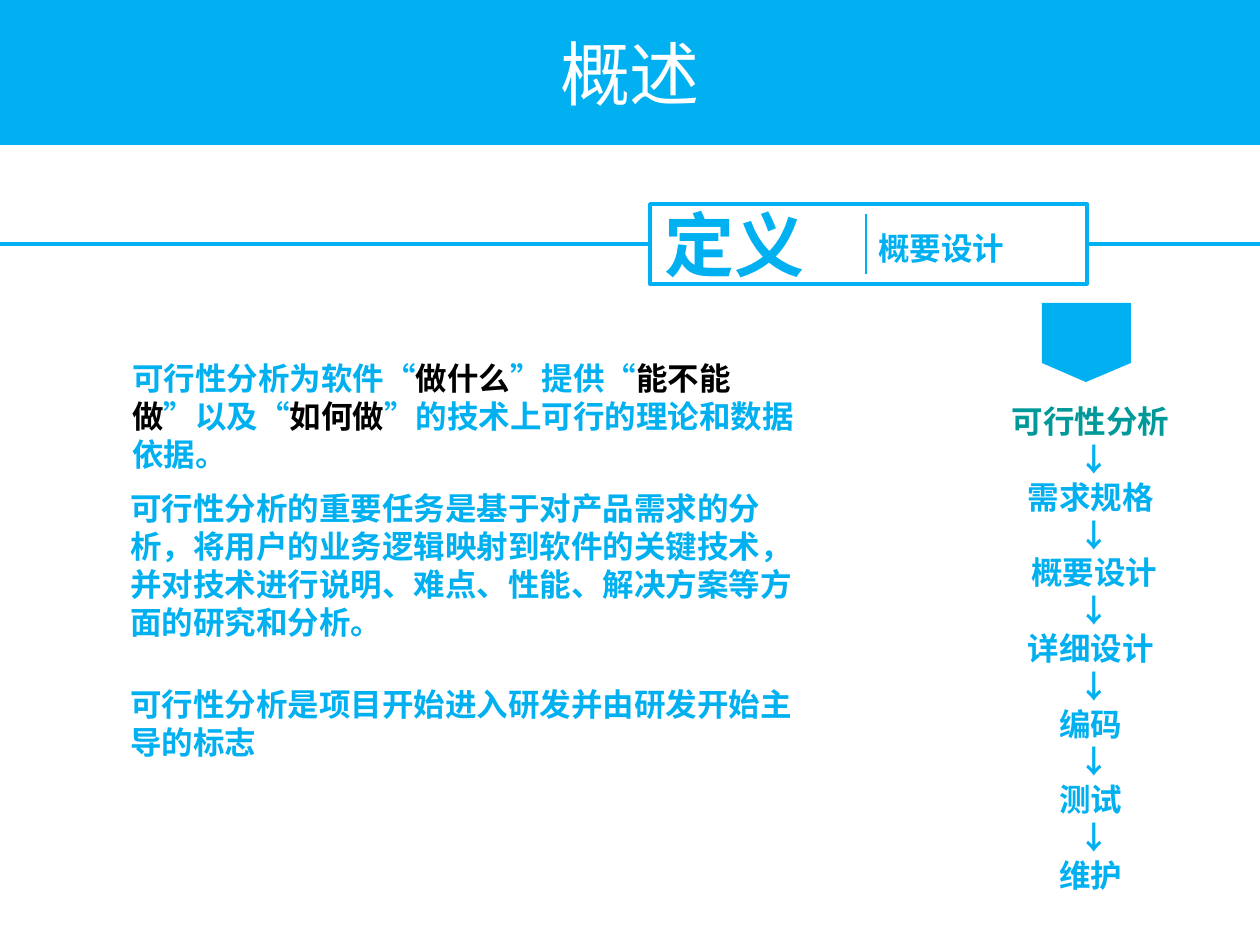
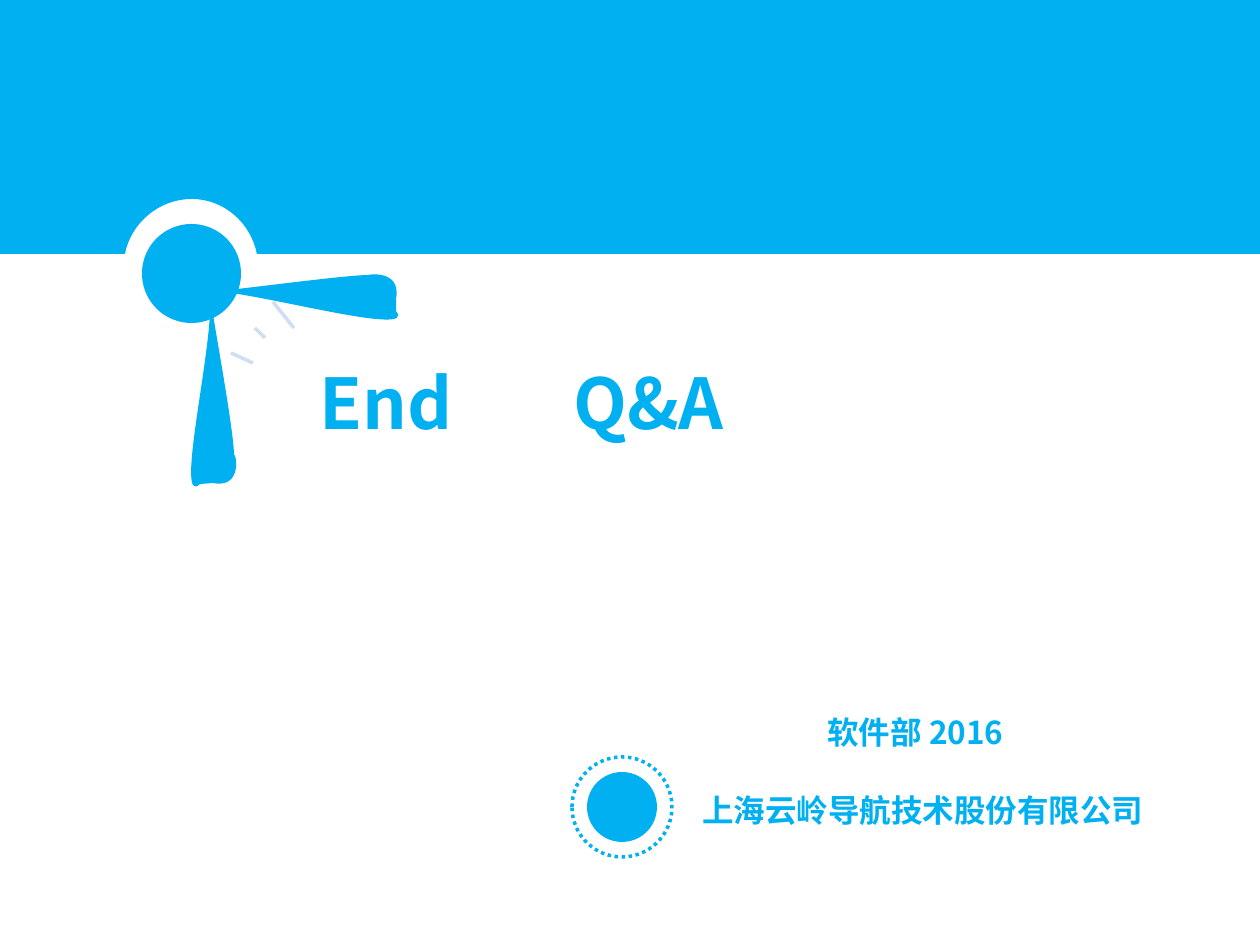
import pptx
import pptx.dml.color
import pptx.enum.dml
import pptx.enum.shapes
import pptx.enum.text
import pptx.oxml.ns
import pptx.util
from lxml import etree

COLORS = {
    "sky": "00B0F0",
    "white": "FFFFFF",
    "black": "000000",
    "teal": "009999",
    "mist": "CFDEF3",
}
FONT = "Noto Sans CJK SC"
EMU_PER_PX = 914400 / 126
SLIDE_WIDTH, SLIDE_HEIGHT = 1260, 945
BAND_HEIGHT = 145
TITLE_SIZE, BODY_SIZE = 40, 18

SHAPE = pptx.enum.shapes.MSO_SHAPE
ALIGN = pptx.enum.text.PP_ALIGN
ANCHOR = pptx.enum.text.MSO_ANCHOR
AUTO_SIZE = pptx.enum.text.MSO_AUTO_SIZE


def px(length):
    return pptx.util.Emu(round(length * EMU_PER_PX))


def rgb(name):
    return pptx.dml.color.RGBColor.from_string(COLORS[name])


def paint(shape, fill=None, line=None):
    shape.shadow.inherit = False
    if fill:
        shape.fill.solid()
        shape.fill.fore_color.rgb = rgb(fill)
    else:
        shape.fill.background()
    if line:
        shape.line.color.rgb = rgb(line)
        shape.line.width = pptx.util.Pt(2)
    else:
        shape.line.fill.background()
    return shape


def add_preset(slide, kind, box, fill=None, line=None):
    return paint(slide.shapes.add_shape(kind, *map(px, box)), fill, line)


def add_rule(slide, start, end, color="sky", width=2):
    rule = slide.shapes.add_connector(
        pptx.enum.shapes.MSO_CONNECTOR.STRAIGHT, *map(px, start + end))
    rule.line.color.rgb = rgb(color)
    rule.line.width = pptx.util.Pt(width)
    etree.SubElement(rule._element.spPr, pptx.oxml.ns.qn("a:effectLst"))
    return rule


def bend(steps):
    curve = etree.Element(pptx.oxml.ns.qn("a:cubicBezTo"))
    steps[0].addprevious(curve)
    for step in steps:
        curve.append(step[0])
        step.getparent().remove(step)


def add_outline(slide, left, top, start, segments):
    """Segments: a list holds straight corners, a tuple one Bezier curve."""
    points = [start] + [point for segment in segments for point in segment]
    scaled = [(px(left + x), px(top + y)) for x, y in points]
    builder = slide.shapes.build_freeform(*scaled[0], scale=1.0)
    builder.add_line_segments(scaled[1:], close=True)
    outline = builder.convert_to_shape()
    steps = list(outline._element.iter(pptx.oxml.ns.qn("a:lnTo")))
    for segment in segments:
        current, steps = steps[:len(segment)], steps[len(segment):]
        if isinstance(segment, tuple):
            bend(current)
    return paint(outline, "sky")


def write(frame, paragraphs, size, bold=True, align=ALIGN.LEFT):
    for index, pieces in enumerate(paragraphs):
        paragraph = frame.add_paragraph() if index else frame.paragraphs[0]
        paragraph.alignment = align
        paragraph._p.get_or_add_pPr().set("hangingPunct", "0")
        for words, color in pieces:
            run = paragraph.add_run()
            run.text = words
            run.font.size = pptx.util.Pt(size)
            run.font.bold = bold
            run.font.color.rgb = rgb(color)
            run.font.name = FONT
            east_asian = etree.SubElement(run._r.rPr, pptx.oxml.ns.qn("a:ea"))
            east_asian.set("typeface", FONT)


def add_text(slide, box, paragraphs, size=BODY_SIZE, wrap=True, align=ALIGN.LEFT):
    frame = slide.shapes.add_textbox(*map(px, box)).text_frame
    frame.word_wrap = wrap
    frame.auto_size = AUTO_SIZE.SHAPE_TO_FIT_TEXT
    write(frame, paragraphs, size, align=align)


def place_title(slide, box, words, color, bold, align, anchor):
    title = slide.shapes.title
    title.left, title.top, title.width, title.height = map(px, box)
    frame = title.text_frame
    frame.word_wrap = True
    frame.auto_size = AUTO_SIZE.NONE
    frame.vertical_anchor = anchor
    write(frame, [[(words, color)]], TITLE_SIZE, bold, align)
    return title


def draw_definition_header(slide, left, top, width, height):
    middle = top + height // 2
    frame = add_preset(slide, SHAPE.RECTANGLE, (left, top, width, height), line="sky")
    add_rule(slide, (0, middle), (left, middle)).end_connect(frame, 1)
    add_rule(slide, (left + width, middle), (SLIDE_WIDTH, middle)).begin_connect(frame, 3)
    divider = left + 216
    add_rule(slide, (divider, top + 10), (divider, top + 70), width=1)
    add_text(slide, (left + 2, top - 9, 217, 97), [[("定义", "sky")]], TITLE_SIZE)
    add_text(slide, (divider, top + 19, 220, 50), [[("概要设计", "sky")]])


def draw_explanation(slide, left, top, width):
    purpose = [
        ("可行性分析为软件“", "sky"), ("做什么", "black"),
        ("”提供“", "sky"), ("能不能做", "black"),
        ("”以及“", "sky"), ("如何做", "black"),
        ("”的技术上可行的理论和数据依据。", "sky"),
    ]
    task = [("可行性分析的重要任务是基于对产品需求的分析，将用户的业务逻辑映射到软件的关键技术，"
             "并对技术进行说明、难点、性能、解决方案等方面的研究和分析。", "sky")]
    milestone = [("可行性分析是项目开始进入研发并由研发开始主导的标志", "sky")]
    add_text(slide, (left + 2, top, width, 126), [purpose])
    add_text(slide, (left, top + 130, width, 164), [task])
    add_text(slide, (left, top + 326, width, 88), [milestone])


def draw_process(slide, left, top, width):
    add_outline(slide, left + 43, top, (0, 0),
                [[(89, 0), (89, 60), (44, 79), (0, 60)]])
    later_stages = ["需求规格", " 概要设计", "详细设计", "编码", "测试", "维护"]
    lines = [[("可行性分析", "teal")]]
    for stage in later_stages:
        lines += [[(" ↓", "sky")], [(stage, "sky")]]
    add_text(slide, (left, top + 93, width, 504), lines, wrap=False, align=ALIGN.CENTER)


def draw_notched_band(slide, left, top, width, height):
    add_preset(slide, SHAPE.RECTANGLE, (left, top, width, BAND_HEIGHT), fill="sky")
    bottom = height - BAND_HEIGHT
    add_outline(slide, left, top + BAND_HEIGHT, (0, 0), [
        [(width, 0), (width, bottom), (257, bottom)],
        ((251, 78), (224, 54), (192, 54)),
        ((159, 54), (131, 78), (125, bottom)),
        [(0, bottom)],
    ])


def draw_clock(slide, left, top):
    add_outline(slide, left, top, (107, 90), [
        ((122, 89), (226, 75), (248, 75)),
        ((245, 75), (282, 68), (276, 99)),
        [(276, 111)],
        ((297, 136), (162, 99), (104, 92)),
    ])
    add_outline(slide, left, top, (93, 114), [
        ((95, 129), (114, 232), (114, 255)),
        ((116, 252), (123, 289), (93, 283)),
        [(80, 284)],
        ((56, 307), (88, 169), (90, 112)),
    ])
    ticks = [(111, 153, 133, 163), (135, 128, 145, 138), (153, 102, 174, 128)]
    for x1, y1, x2, y2 in ticks:
        add_rule(slide, (left + x1, top + y1), (left + x2, top + y2), "mist")
    add_preset(slide, SHAPE.OVAL, (left + 22, top + 24, 99, 99), fill="sky")


def draw_signature(slide, left, top, ring_size):
    inset = 15
    core_size = ring_size - 2 * inset
    add_preset(slide, SHAPE.OVAL, (left + inset, top + inset, core_size, core_size), fill="sky")
    ring = add_preset(slide, SHAPE.OVAL, (left, top, ring_size, ring_size), line="sky")
    ring.line.dash_style = pptx.enum.dml.MSO_LINE.ROUND_DOT
    add_text(slide, (left + 243, top - 50, 247, 50), [[("软件部 2016", "sky")]])
    add_text(slide, (left + 118, top + 28, 466, 50),
             [[("上海云岭导航技术股份有限公司", "sky")]], wrap=False)


def build_overview(slide):
    title = place_title(slide, (0, 0, SLIDE_WIDTH, BAND_HEIGHT), "概述", "white",
                        False, ALIGN.CENTER, ANCHOR.MIDDLE)
    title.fill.solid()
    title.fill.fore_color.rgb = rgb("sky")
    draw_definition_header(slide, 650, 204, 437, 80)
    draw_explanation(slide, 118, 353, 698)
    draw_process(slide, 999, 303, 183)


def build_closing(slide):
    place_title(slide, (307, 353, 646, 97), "End", "sky", True, ALIGN.LEFT, ANCHOR.TOP)
    draw_notched_band(slide, 0, 0, SLIDE_WIDTH, 254)
    draw_clock(slide, 120, 200)
    add_text(slide, (561, 353, 205, 97), [[("Q&A", "sky")]], TITLE_SIZE)
    draw_signature(slide, 572, 757, 100)


def main():
    deck = pptx.Presentation()
    deck.slide_width, deck.slide_height = px(SLIDE_WIDTH), px(SLIDE_HEIGHT)
    title_only = deck.slide_layouts[5]
    for build in (build_overview, build_closing):
        build(deck.slides.add_slide(title_only))
    deck.save("out.pptx")


if __name__ == "__main__":
    main()
